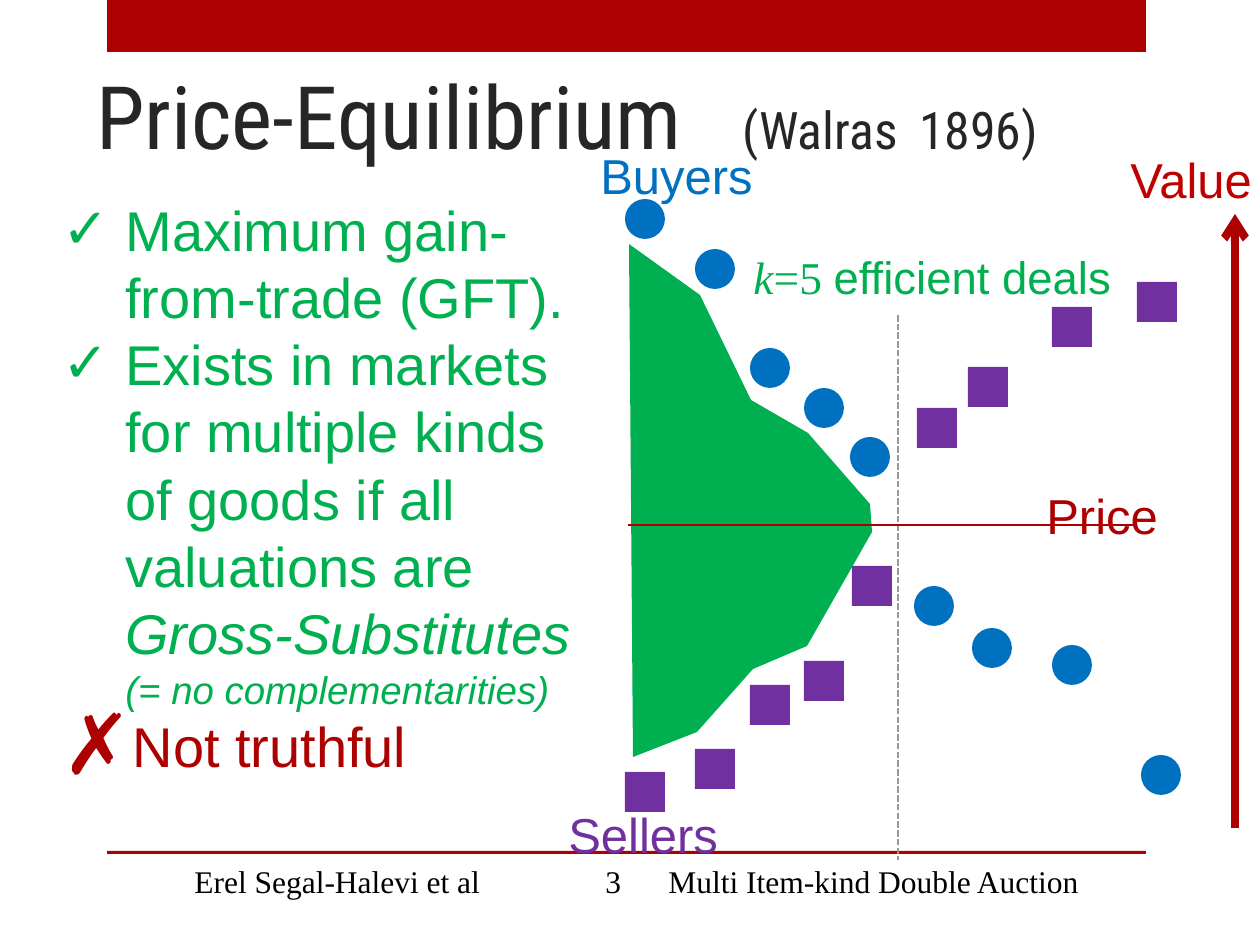
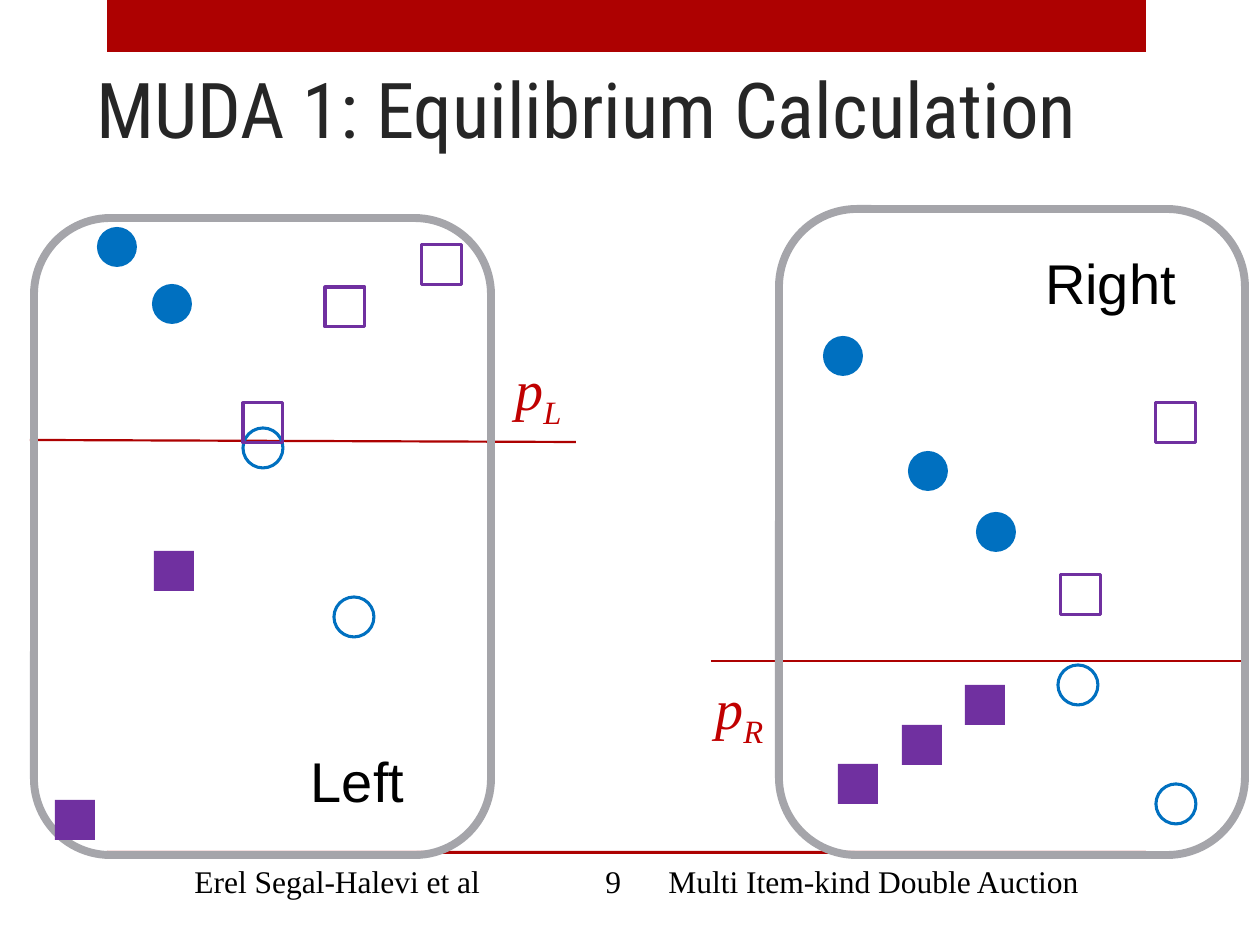
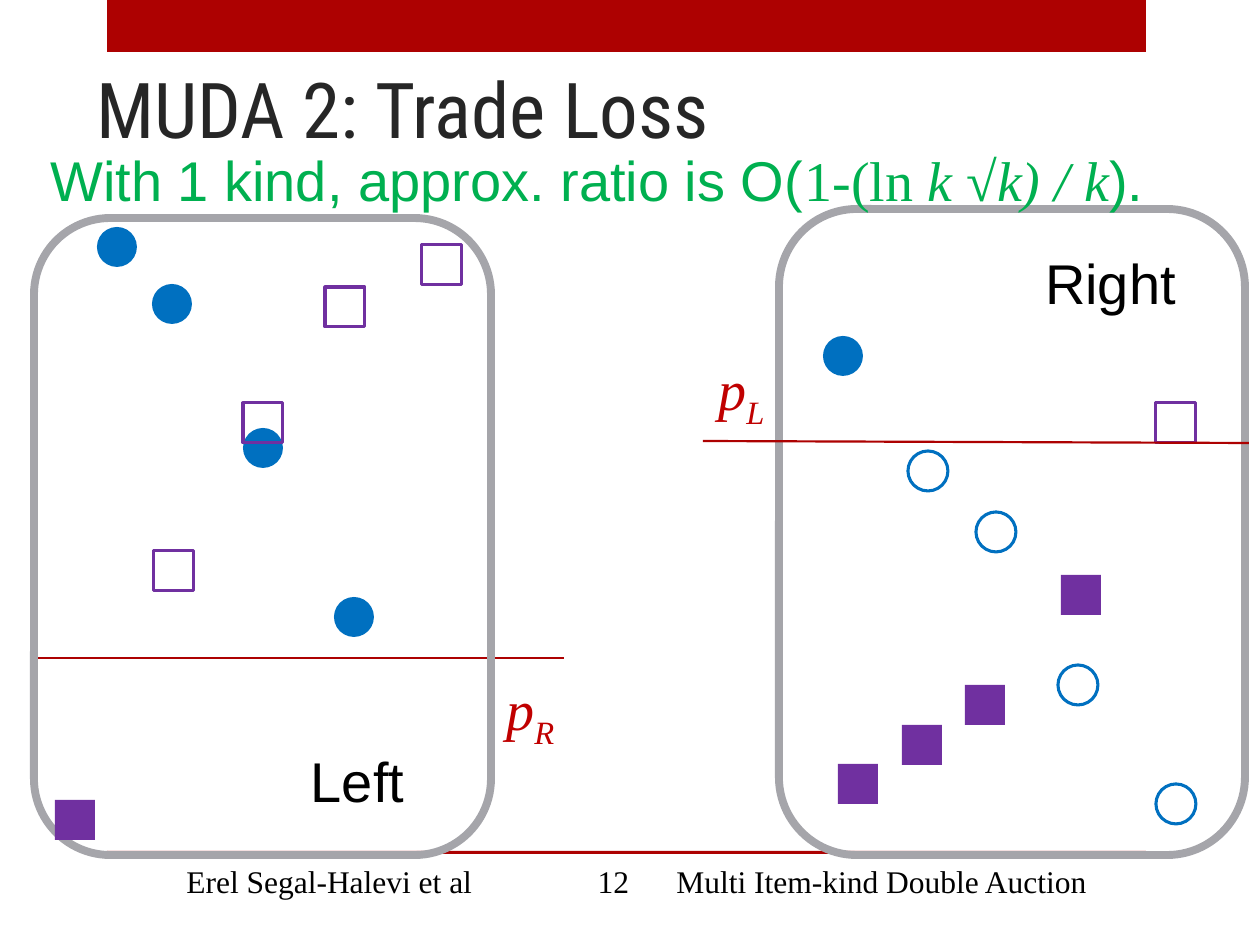
from dataclasses import dataclass

from lxml.etree import SubElement
from pptx import Presentation
from pptx.dml.color import RGBColor as RGB
from pptx.enum.dml import MSO_LINE
from pptx.enum.shapes import MSO_CONNECTOR as CONN, MSO_SHAPE as SHAPE
from pptx.enum.text import MSO_ANCHOR as ANCHOR, MSO_AUTO_SIZE as FIT, PP_ALIGN as ALIGN
from pptx.oxml.ns import qn
from pptx.util import Emu, Pt

SCALE = 914400 / 126  # EMU per px


def px(n):
    return Emu(round(n * SCALE))


def rgb(code):
    return RGB.from_string(code)


@dataclass(frozen=True)
class Theme:
    red: str = "AD0101"
    price: str = "C00000"
    green: str = "00B050"
    buyer: str = "0070C0"
    seller: str = "7030A0"
    frame: str = "A5A5AA"
    guide: str = "989898"
    title: str = "262626"
    black: str = "000000"
    sans: str = "Arial"
    serif: str = "Times New Roman"
    heading: str = "Roboto Condensed"
    big_title: float = 50
    title_size: float = 44
    citation: float = 29.6
    body: float = 32
    label: float = 28
    deals: float = 26
    note: float = 22
    footer: float = 18
    thin: float = 1.25
    outline: float = 1.75
    thick: float = 4.5


T = Theme()


class Deck:
    """Holds the theme and the current slide; one method per kind of element."""

    def __init__(self):
        self.prs = Presentation()
        self.prs.slide_width, self.prs.slide_height = px(1260), px(945)
        self.s = None

    # Text
    def run(self, p, text, sub=False, **fmt):
        if text == "\n":
            p.add_line_break()
            return
        r = p.add_run()
        r.text = text
        fmt = {"name": T.sans, "size": T.body, "color": T.black, **fmt}
        r.font.color.rgb = rgb(fmt.pop("color"))
        fmt["size"] = Pt(fmt["size"])
        for key, value in fmt.items():
            setattr(r.font, key, value)
        if sub:
            r._r.get_or_add_rPr().set("baseline", "-25000")

    def tabs(self, p, stops):
        tab_list = SubElement(p._p.get_or_add_pPr(), qn("a:tabLst"))
        for pos, align in stops:
            SubElement(tab_list, qn("a:tab"), pos=str(px(pos)), algn=align)

    def bullet(self, p, char, color, percent=100):
        pPr = p._p.get_or_add_pPr()
        pPr.set("marL", str(px(63)))
        pPr.set("indent", str(-px(63)))
        SubElement(SubElement(pPr, qn("a:buClr")), qn("a:srgbClr"), val=color)
        SubElement(pPr, qn("a:buSzPct"), val=str(percent * 1000))
        SubElement(pPr, qn("a:buFont"), typeface=T.sans)
        SubElement(pPr, qn("a:buChar"), char=char)

    def text(self, box, *runs, align=ALIGN.LEFT, **frame):
        """Adds a text box; each run is (text, format dict)."""
        tf = self.s.shapes.add_textbox(*map(px, box)).text_frame
        for key, value in {"word_wrap": True, "auto_size": FIT.SHAPE_TO_FIT_TEXT, **frame}.items():
            setattr(tf, key, value)
        p = tf.paragraphs[0]
        p.alignment = align
        for text, fmt in runs:
            self.run(p, text, **fmt)
        return tf

    # Shapes and lines
    def shape(self, kind, box, fill=None, line=None, width=T.outline):
        sp = self.s.shapes.add_shape(kind, *map(px, box))
        return self.paint(sp, fill, line, width)

    def paint(self, sp, fill=None, line=None, width=T.outline):
        sp.shadow.inherit = False
        for part, color in ((sp.fill, fill), (sp.line.fill, line)):
            if color:
                part.solid()
                part.fore_color.rgb = rgb(color)
            else:
                part.background()
        if line:
            sp.line.width = Pt(width)
        return sp

    def outline(self, points, fill):
        builder = self.s.shapes.build_freeform(*points[0], scale=SCALE)
        builder.add_line_segments(points[1:], close=True)
        self.paint(builder.convert_to_shape(), fill)

    def line(self, ends, color=T.red, width=T.thin, dash=None, arrow=False):
        c = self.s.shapes.add_connector(CONN.STRAIGHT, *map(px, ends))
        c.line.color.rgb = rgb(color)
        c.line.width = Pt(width)
        if dash:
            c.line.dash_style = dash
        if arrow:
            SubElement(c.line._get_or_add_ln(), qn("a:tailEnd"), type="arrow")
        SubElement(c._element.spPr, qn("a:effectLst"))

    # Slide frame
    def slide(self, number, top, *title):
        self.s = self.prs.slides.add_slide(self.prs.slide_layouts[6])
        self.shape(SHAPE.RECTANGLE, (107, 0, 1039, 52), T.red)
        self.shape(SHAPE.RECTANGLE, (107, 851, 1039, 3), T.red)
        shift = 8 * (len(number) - 1)  # wider numbers push the names apart
        footer = f"\tErel Segal-Halevi et al\t{number}\tMulti Item-kind Double Auction"
        tf = self.text((94, 856, 1062, 50),
                       (footer, {"name": T.serif, "size": T.footer}))
        self.tabs(tf.paragraphs[0],
                  [(88 - shift, "l"), (507, "ctr"), (562 + shift, "l")])
        runs = [(text, {"name": T.heading, "size": size, "color": T.title})
                for text, size in title]
        tf = self.text((84, top, 1176, 175), *runs,
                       auto_size=FIT.NONE, vertical_anchor=ANCHOR.BOTTOM)
        return tf.paragraphs[0]

    # Market elements
    def trader(self, kind, color, center, active=True):
        x, y = center
        paint = {"fill": color} if active else {"line": color}
        self.shape(kind, (x - 20, y - 20, 40, 40), **paint)

    def traders(self, buyers, sellers, price=None):
        """With a price, only buyers above and sellers below it are solid."""
        for x, y in buyers:
            self.trader(SHAPE.OVAL, T.buyer, (x, y), price is None or y < price)
        for x, y in sellers:
            self.trader(SHAPE.RECTANGLE, T.seller, (x, y), price is None or y > price)

    def market(self, side, price_line, price_name, name_at, line_on_top=False):
        m = MARKETS[side]
        if not line_on_top:
            self.line(price_line)
        panel = self.shape(SHAPE.ROUNDED_RECTANGLE, m["panel"], line=T.frame, width=T.thick)
        panel.adjustments[0] = 0.167
        self.traders(m["buyers"], m["sellers"], price_line[1])
        if line_on_top:
            self.line(price_line)
        fmt = {"name": T.serif, "color": T.price, "italic": True}
        self.text((*name_at, 73, 89), ("p", fmt), (price_name, {**fmt, "sub": True}),
                  word_wrap=False)
        self.text((*m["label"], 169, 79), (side, {}), align=ALIGN.CENTER)


MARKETS = {
    "Left": {
        "panel": (34, 218, 457, 637), "label": (273, 740),
        "buyers": [(117, 247), (172, 304), (263, 448), (354, 617)],
        "sellers": [(75, 820), (174, 571), (263, 423), (345, 307), (442, 265)],
    },
    "Right": {
        "panel": (779, 209, 466, 646), "label": (1026, 242),
        "buyers": [(843, 356), (928, 471), (996, 532), (1078, 685), (1176, 804)],
        "sellers": [(858, 784), (922, 745), (985, 705), (1081, 595), (1176, 423)],
    },
}


def price_equilibrium(d):
    p = d.slide("3", 0, ("Price-Equilibrium", T.big_title),
                ("\t(Walras\t1896)", T.citation))
    p.line_spacing = 0.9
    d.tabs(p, [(646, "l"), (823, "l")])

    # Properties
    green = {"color": T.green}
    points = [
        ("✓", T.green, 100, [("Maximum gain-from-trade (GFT).", green)]),
        ("✓", T.green, 100, [
            ("Exists in markets for multiple kinds of goods if all valuations are ", green),
            ("Gross-Substitutes", {**green, "italic": True}), ("\n", {}),
            ("(= no complementarities)", {**green, "italic": True, "size": T.note})]),
        ("✗", T.red, 150, [("Not truthful", {"color": T.red})]),
    ]
    tf = d.text((50, 189, 549, 664))
    for i, (char, color, percent, runs) in enumerate(points):
        p = tf.add_paragraph() if i else tf.paragraphs[0]
        d.bullet(p, char, color, percent)
        for text, fmt in runs:
            d.run(p, text, **fmt)

    # Supply and demand
    d.traders(
        [(645, 219), (715, 269), (770, 368), (824, 408), (870, 457),
         (934, 606), (992, 648), (1072, 665), (1161, 775)],
        [(645, 792), (715, 769), (770, 705), (824, 681), (872, 586),
         (937, 428), (988, 387), (1072, 327), (1157, 302)])
    d.outline([(629, 244), (700, 295), (751, 400), (808, 433), (870, 504),
               (872, 532), (807, 646), (753, 669), (697, 732), (633, 757)], T.green)
    deals = {**green, "size": T.deals}
    d.text((741, 243, 383, 67),
           ("k", {**deals, "name": T.serif, "italic": True}),
           ("=5 ", {**deals, "name": T.serif}),
           ("efficient deals", deals), word_wrap=False)
    d.line((898, 315, 898, 860), T.guide, dash=MSO_LINE.SQUARE_DOT)
    d.line((1235, 828, 1235, 214), width=T.thick, arrow=True)
    d.line((1137, 525, 628, 525))

    # Labels
    for word, color, box in (("Buyers", T.buyer, (588, 139, 178, 72)),
                             ("Value", T.price, (1118, 143, 168, 72)),
                             ("Sellers", T.seller, (556, 798, 175, 72)),
                             ("Price", T.red, (1034, 479, 160, 72))):
        d.text(box, (word, {"size": T.label, "color": color}))


def equilibrium_calculation(d):
    d.slide("9", -15, ("MUDA 1: Equilibrium Calculation", T.title_size))
    d.market("Left", (30, 440, 576, 442), "L", (503, 348))
    d.market("Right", (711, 661, 1241, 661), "R", (703, 667))


def trade_loss(d):
    d.slide("12", -15, ("MUDA 2: Trade Loss", T.title_size))
    d.market("Left", (34, 658, 564, 658), "R", (494, 668))
    d.market("Right", (703, 441, 1249, 443), "L", (706, 348), line_on_top=True)
    sans = {"color": T.green}
    serif = {**sans, "name": T.serif}
    italic = {**serif, "italic": True}
    d.text((38, 139, 1197, 76),
           ("With 1 kind, approx. ratio is O(", sans), ("1-(ln ", serif),
           ("k ", italic), ("√", serif), ("k) / k", italic), (").", sans))


def main():
    d = Deck()
    for build in (price_equilibrium, equilibrium_calculation, trade_loss):
        build(d)
    d.prs.save("out.pptx")


if __name__ == "__main__":
    main()
